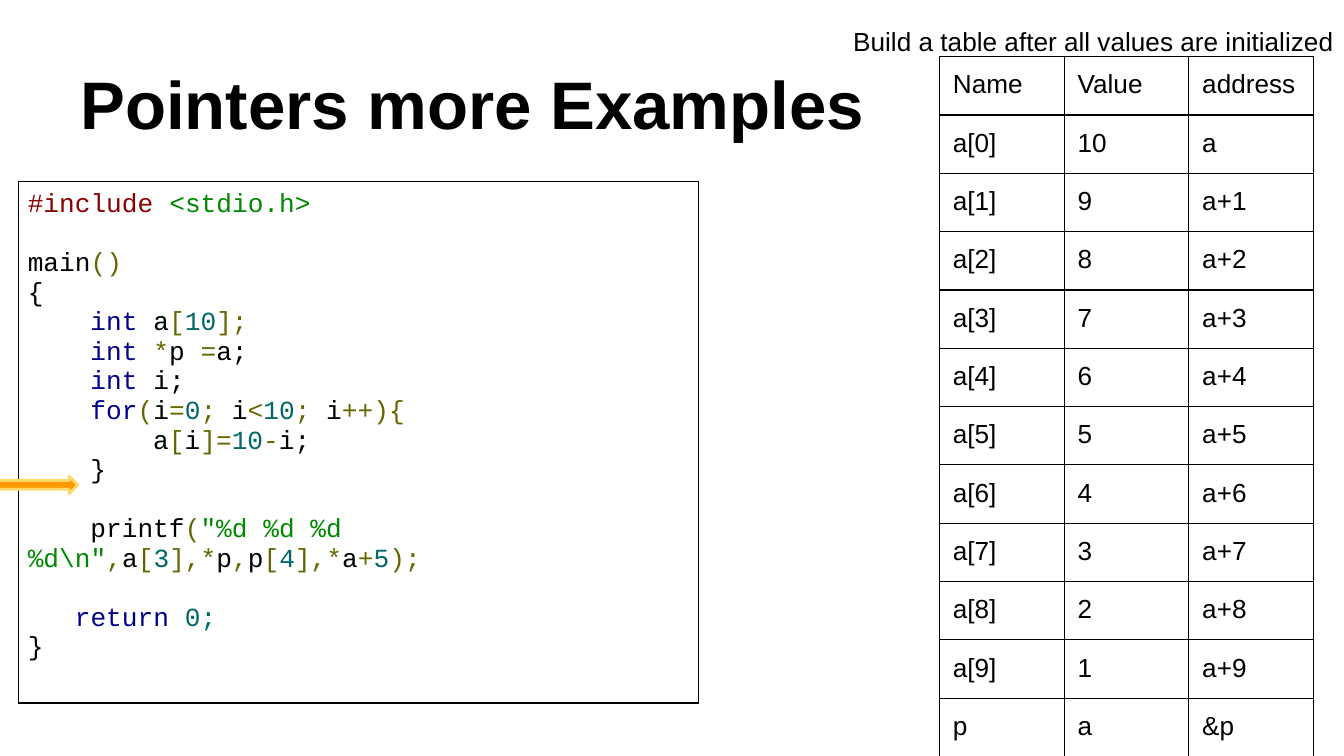
"""Build the slide "Pointers more Examples": a C listing beside a table of its memory."""
from pptx import Presentation
from pptx.dml.color import RGBColor
from pptx.enum.shapes import MSO_SHAPE
from pptx.enum.text import MSO_ANCHOR
from pptx.oxml import parse_xml
from pptx.oxml.ns import nsdecls
from pptx.util import Inches, Pt

COLORS = {
    "text": "000000", "directive": "880000", "string": "008800", "symbol": "666600",
    "keyword": "000088", "number": "006666", "arrow": "FF9900", "outline": "FFD966",
}
CHARACTER, LINE = Pt(8.4), Pt(15.8)


def add_run(paragraph, text, size=14, font="Arial", color="text", bold=False):
    run = paragraph.add_run()
    run.text = text
    run.font.size, run.font.name, run.font.bold = Pt(size), font, bold
    run.font.color.rgb = RGBColor.from_string(COLORS[color])


def add_plain_table(shapes, rows, columns, box, inset, border):
    table = shapes.add_table(rows, columns, *box).table
    table.first_row = table.horz_banding = False
    for cell in table.iter_cells():
        cell.margin_left = cell.margin_right = cell.margin_top = cell.margin_bottom = inset
        properties = cell._tc.get_or_add_tcPr()
        for side in ("lnL", "lnR", "lnT", "lnB"):
            properties.append(parse_xml(
                f'<a:{side} {nsdecls("a")} w="{Pt(border)}"><a:solidFill>'
                f'<a:srgbClr val="{COLORS["text"]}"/></a:solidFill></a:{side}>'))
        cell.fill.background()
    return table


presentation = Presentation()
presentation.slide_width = Inches(10)
presentation.slide_height = presentation.slide_width * 9 // 16
column, row = presentation.slide_width / 100, presentation.slide_height / 100
slide = presentation.slides.add_slide(presentation.slide_layouts[6])

labels = [
    ("Pointers more Examples", (5, 4, 90, 16.7), 36, True, MSO_ANCHOR.BOTTOM),
    ("Build a table after all values are initialized", (62.5, 1.6, 38.8, 12.28), 14, False, MSO_ANCHOR.TOP),
]
for text, (left, top, width, height), size, bold, anchor in labels:
    label = slide.shapes.add_textbox(
        int(left * column), int(top * row), int(width * column), int(height * row))
    frame = label.text_frame
    frame.word_wrap, frame.vertical_anchor = True, anchor
    frame.margin_left = frame.margin_right = frame.margin_top = frame.margin_bottom = Inches(0.1)
    add_run(frame.paragraphs[0], text, size, bold=bold)

listing = [
    (0, 0, [("#include ", "directive"), ("<stdio.h>", "string")]),
    (0, 1, [("main", "text"), ("()", "symbol")]),
    (0, 0, [("{", "text")]),
    (4, 0, [("int", "keyword"), (" a", "text"), ("[", "symbol"), ("10", "number"), ("];", "symbol")]),
    (4, 0, [("int ", "keyword"), ("*", "symbol"), ("p ", "text"), ("=", "symbol"), ("a;", "text")]),
    (4, 0, [("int", "keyword"), (" i;", "text")]),
    (4, 0, [("for", "keyword"), ("(", "symbol"), ("i", "text"), ("=", "symbol"), ("0", "number"),
            (";", "symbol"), (" i", "text"), ("<", "symbol"), ("10", "number"), (";", "symbol"),
            (" i", "text"), ("++){", "symbol")]),
    (8, 0, [("a", "text"), ("[", "symbol"), ("i", "text"), ("]=", "symbol"), ("10", "number"),
            ("-", "symbol"), ("i;", "text")]),
    (4, 0, [("}", "text")]),
    (4, 1, [("printf", "text"), ("(", "symbol"), ('"%d %d %d %d\\n"', "string"), (",", "symbol"),
            ("a", "text"), ("[", "symbol"), ("3", "number"), ("],*", "symbol"), ("p", "text"),
            (",", "symbol"), ("p", "text"), ("[", "symbol"), ("4", "number"), ("],*", "symbol"),
            ("a", "text"), ("+", "symbol"), ("5", "number"), (");", "symbol")]),
    (3, 1, [("return ", "keyword"), ("0;", "number")]),
    (0, 0, [("}", "text")]),
]
code_box = int(1.37 * column), int(24 * row), int(50.6 * column), int(69 * row)
code_frame = add_plain_table(slide.shapes, 1, 1, code_box, Inches(0.07), 1).cell(0, 0).text_frame
for index, (indent, gap, tokens) in enumerate(listing):
    paragraph = code_frame.add_paragraph() if index else code_frame.paragraphs[0]
    paragraph.space_before = gap * LINE
    paragraph._p.get_or_add_pPr().set("marL", "0")
    paragraph._p.get_or_add_pPr().set("indent", str(indent * CHARACTER))
    for text, color in tokens:
        add_run(paragraph, text, font="Courier New", color=color)

arrow = slide.shapes.add_shape(
    MSO_SHAPE.RIGHT_ARROW, int(-1.9 * column), int(63 * row), int(7.7 * column), int(2.31 * row))
arrow.shadow.inherit = False
arrow.fill.solid()
arrow.fill.fore_color.rgb = RGBColor.from_string(COLORS["arrow"])
arrow.line.color.rgb = RGBColor.from_string(COLORS["outline"])
arrow.line.width = Pt(1.5)

memory = [("Name", "Value", "address"), ("a[0]", "10", "a")]
memory += [(f"a[{index}]", str(10 - index), f"a+{index}") for index in range(1, 10)]
memory.append(("p", "a", "&p"))
memory_box = int(69.9 * column), int(7.5 * row), int(27.83 * column), int(58.3 * row)
memory_table = add_plain_table(slide.shapes, len(memory), 3, memory_box, Inches(0.1), 0.75)
for memory_row in memory_table.rows:
    memory_row.height = int(7.3 * row)
for cell, text in zip(memory_table.iter_cells(), sum(memory, ())):
    add_run(cell.text_frame.paragraphs[0], text)

presentation.save("out.pptx")
